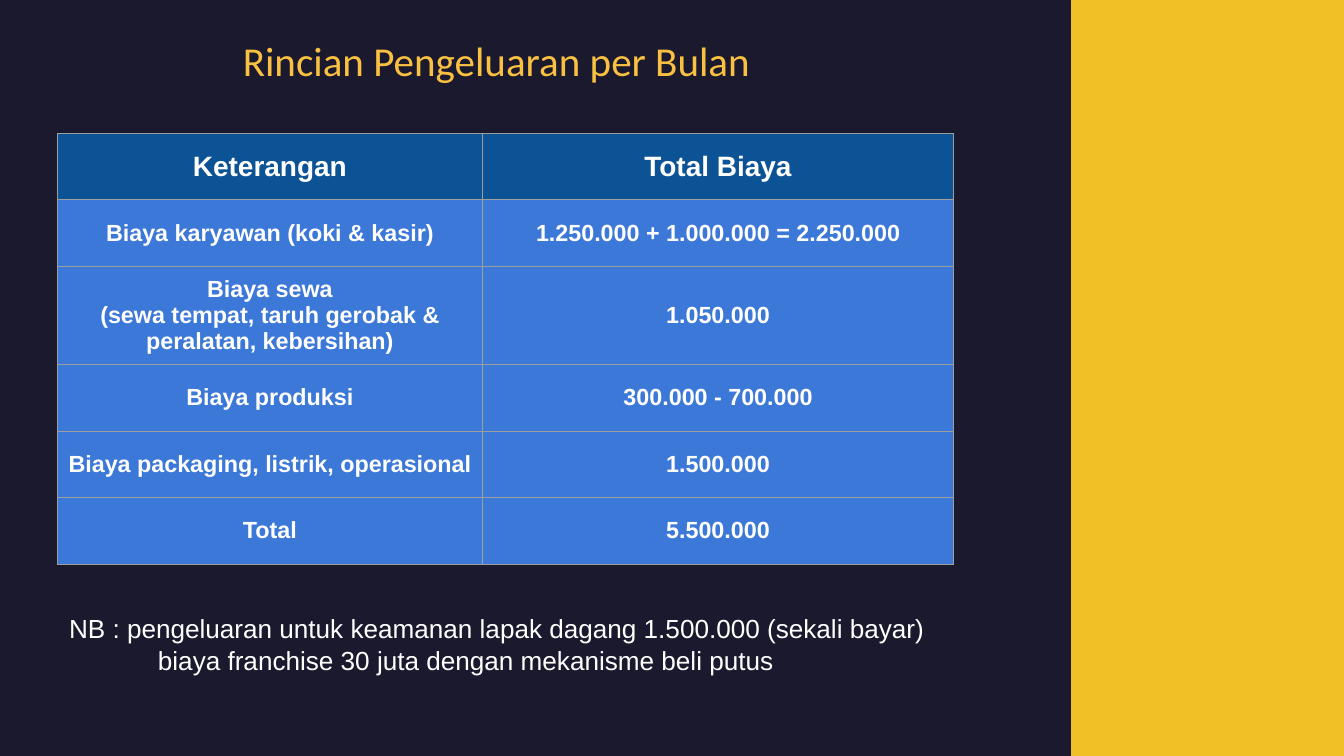
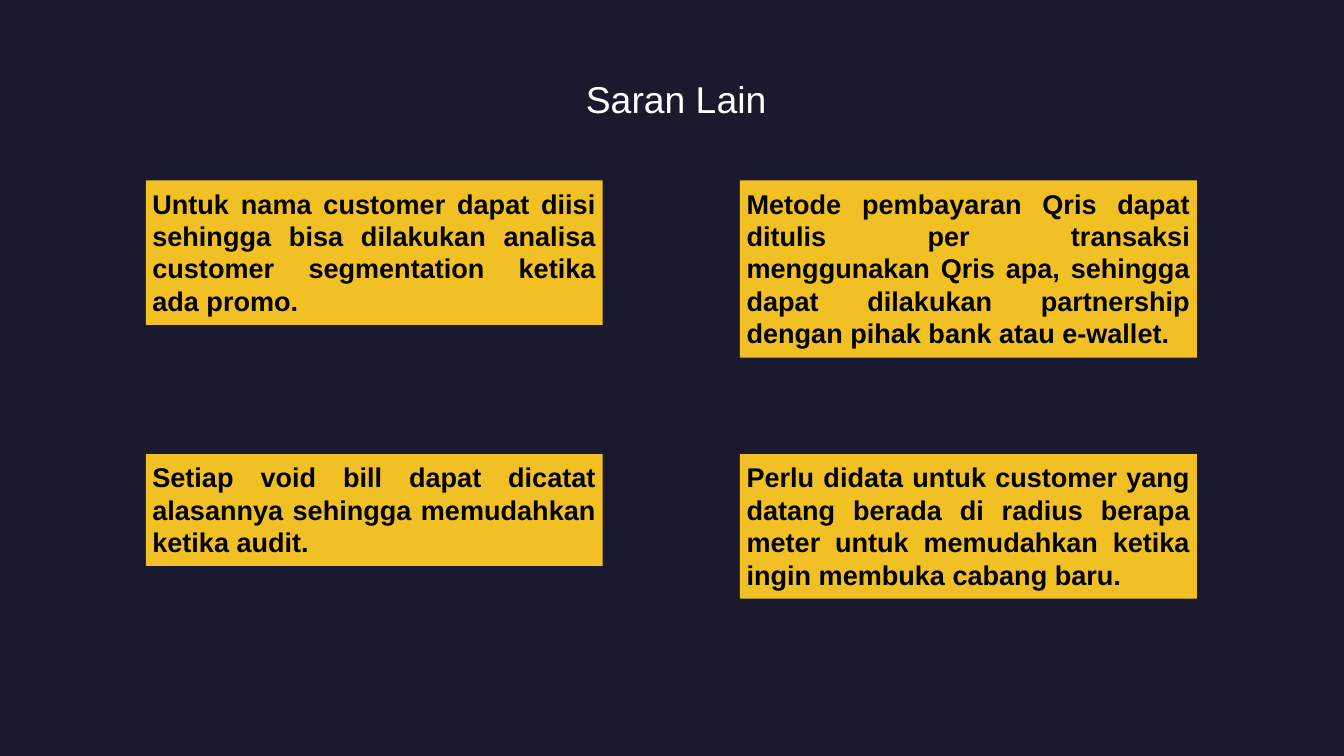
from collections import namedtuple
from dataclasses import dataclass
from pptx import Presentation
from pptx.dml.color import RGBColor as RGB
from pptx.enum.shapes import MSO_SHAPE as Kind
from pptx.enum.text import MSO_ANCHOR as Anchor, MSO_AUTO_SIZE as Fit, PP_ALIGN as Align
from pptx.oxml import parse_xml
from pptx.oxml.ns import nsdecls
from pptx.util import Cm, Pt

Box = namedtuple("Box", "x y w h")


@dataclass(frozen=True)
class Theme:
    night: str = "1A192E"
    gold: str = "F1C024"
    amber: str = "F9C041"
    navy: str = "0B5394"
    blue: str = "3C78D8"
    grid: str = "9E9E9E"
    white: str = "FFFFFF"
    black: str = "000000"
    sans: str = "Arial"
    head: str = "Calibri"
    costs: int = 44
    tips: int = 40
    top: int = 30
    cell: int = 25
    note: int = 28
    card: int = 29
    pad: float = 0.25


T = Theme()
PAGE = Box(0, 0, 50.8, 28.58)

COSTS = [
    ("Keterangan", "Total Biaya"),
    ("Biaya karyawan (koki & kasir)", "1.250.000 + 1.000.000 = 2.250.000"),
    ("Biaya sewa\n(sewa tempat, taruh gerobak & peralatan, kebersihan)", "1.050.000"),
    ("Biaya produksi", "300.000 - 700.000"),
    ("Biaya packaging, listrik, operasional", "1.500.000"),
    ("Total", "5.500.000"),
]
NOTE = ("NB : pengeluaran untuk keamanan lapak dagang 1.500.000 (sekali bayar)\n"
        "biaya franchise 30 juta dengan mekanisme beli putus")
# Each tip with the number of lines its card holds
TIPS = [
    ("Untuk nama customer dapat diisi sehingga bisa dilakukan analisa "
     "customer segmentation ketika ada promo.", 4),
    ("Metode pembayaran Qris dapat ditulis per transaksi menggunakan Qris apa, "
     "sehingga dapat dilakukan partnership dengan pihak bank atau e-wallet.", 5),
    ("Setiap void bill dapat dicatat alasannya sehingga memudahkan ketika audit.", 3),
    ("Perlu didata untuk customer yang datang berada di radius berapa meter "
     "untuk memudahkan ketika ingin membuka cabang baru.", 4),
]


def dims(box):
    return [Cm(v) for v in box]


def write(frame, text, size, color=T.white, font=T.sans, bold=False,
          align=Align.LEFT, lead=None):
    """Fill a text frame, one paragraph for each line of text."""
    frame.word_wrap = True
    for n, line in enumerate(text.split("\n")):
        para = frame.paragraphs[0] if n == 0 else frame.add_paragraph()
        para.alignment = align
        if lead:
            para.line_spacing = Pt(lead)
        run = para.add_run()
        run.text = line
        run.font.size = Pt(size)
        run.font.name = font
        run.font.bold = bold
        run.font.color.rgb = RGB.from_string(color)


def inset(frame, anchor=Anchor.TOP):
    frame.margin_left = frame.margin_right = Cm(T.pad)
    frame.margin_top = frame.margin_bottom = Cm(T.pad)
    frame.vertical_anchor = anchor


def title(slide, box, text, **look):
    shape = slide.shapes.title
    shape.left, shape.top, shape.width, shape.height = dims(box)
    inset(shape.text_frame)
    shape.text_frame.auto_size = Fit.NONE
    write(shape.text_frame, text, align=Align.CENTER, **look)


def block(slide, box):
    """Add a plain gold rectangle."""
    shape = slide.shapes.add_shape(Kind.RECTANGLE, *dims(box))
    shape.shadow.inherit = False
    shape.fill.solid()
    shape.fill.fore_color.rgb = RGB.from_string(T.gold)
    shape.line.fill.background()
    return shape


def edge(cell):
    """Draw a thin line on all four sides of a cell."""
    props = cell._tc.get_or_add_tcPr()
    for side in "LRTB":
        props.append(parse_xml(
            f'<a:ln{side} {nsdecls("a")} w="{Pt(0.75)}"><a:solidFill>'
            f'<a:srgbClr val="{T.grid}"/></a:solidFill></a:ln{side}>'))


def grid(slide, box, rows, wide, tall):
    """Add the cost table; tall gives the height of each row."""
    table = slide.shapes.add_table(len(rows), len(wide), *dims(box)).table
    table.horz_banding = False
    for col, w in zip(table.columns, wide):
        col.width = Cm(w)
    for r, row in enumerate(rows):
        table.rows[r].height = Cm(tall[r])
        for c, text in enumerate(row):
            cell = table.cell(r, c)
            edge(cell)
            cell.fill.solid()
            cell.fill.fore_color.rgb = RGB.from_string(T.blue if r else T.navy)
            inset(cell, Anchor.MIDDLE)
            write(cell.text_frame, text, T.cell if r else T.top,
                  bold=True, align=Align.CENTER)


def note(slide, box, text, indent):
    frame = slide.shapes.add_textbox(*dims(box)).text_frame
    inset(frame)
    write(frame, text, T.note, lead=34.3)
    frame.paragraphs[1]._p.get_or_add_pPr().set("marL", str(Cm(indent)))


def cards(slide, box, tips, wide, step):
    """Lay the tips out in two columns, each card as tall as its lines."""
    for n, (text, lines) in enumerate(tips):
        row, col = divmod(n, 2)
        spot = Box(box.x + col * (box.w - wide), box.y + row * step,
                   wide, 1.24 * lines + 2 * T.pad)
        frame = block(slide, spot).text_frame
        inset(frame)
        write(frame, text, T.card, color=T.black, bold=True,
              align=Align.JUSTIFY, lead=34.8)


def spend(slide, page):
    title(slide, Box(page.x + 2.9, page.y + 1.09, 31.75, 2.39),
          "Rincian Pengeluaran per Bulan",
          size=T.costs, color=T.amber, font=T.head)
    wide = [16.08, 17.8]
    tall = [3.7 if "\n" in row[0] else 2.52 for row in COSTS]
    grid(slide, Box(page.x + 2.16, page.y + 5.03, sum(wide), sum(tall)),
         COSTS, wide, tall)
    note(slide, Box(page.x + 2.36, page.y + 22.86, 33.45, 2.9), NOTE, 3.36)
    band = 10.31
    block(slide, Box(page.x + page.w - band, page.y, band, page.h))


def advice(slide, page):
    title(slide, Box(page.x + 16.6, page.y + 2.62, 17.91, 2.26), "Saran Lain",
          size=T.tips)
    cards(slide, Box(page.x + 5.51, page.y + 6.82, 39.73, 15.81), TIPS,
          wide=17.27, step=10.35)


def main():
    deck = Presentation()
    deck.slide_width, deck.slide_height = Cm(PAGE.w), Cm(PAGE.h)
    back = deck.slide_master.background.fill
    back.solid()
    back.fore_color.rgb = RGB.from_string(T.night)
    for build in (spend, advice):
        build(deck.slides.add_slide(deck.slide_layouts[5]), PAGE)
    deck.save("out.pptx")


if __name__ == "__main__":
    main()
